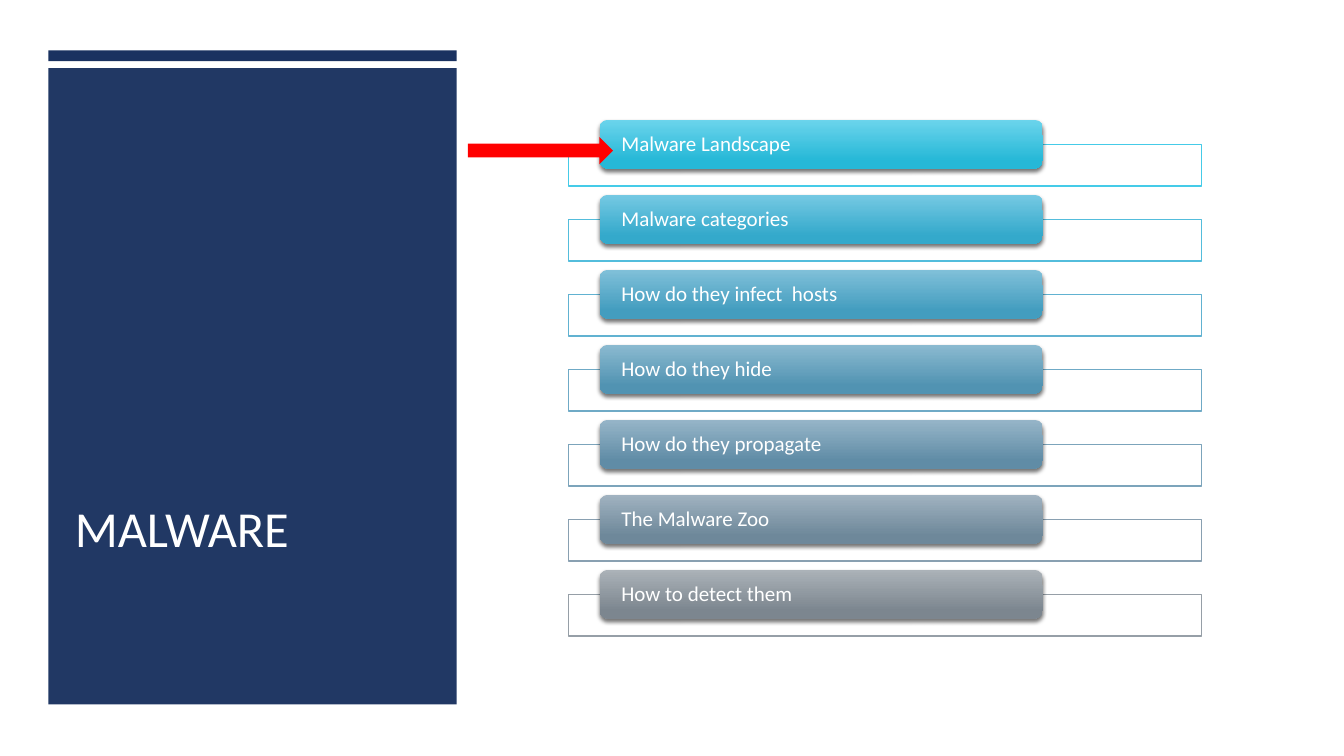
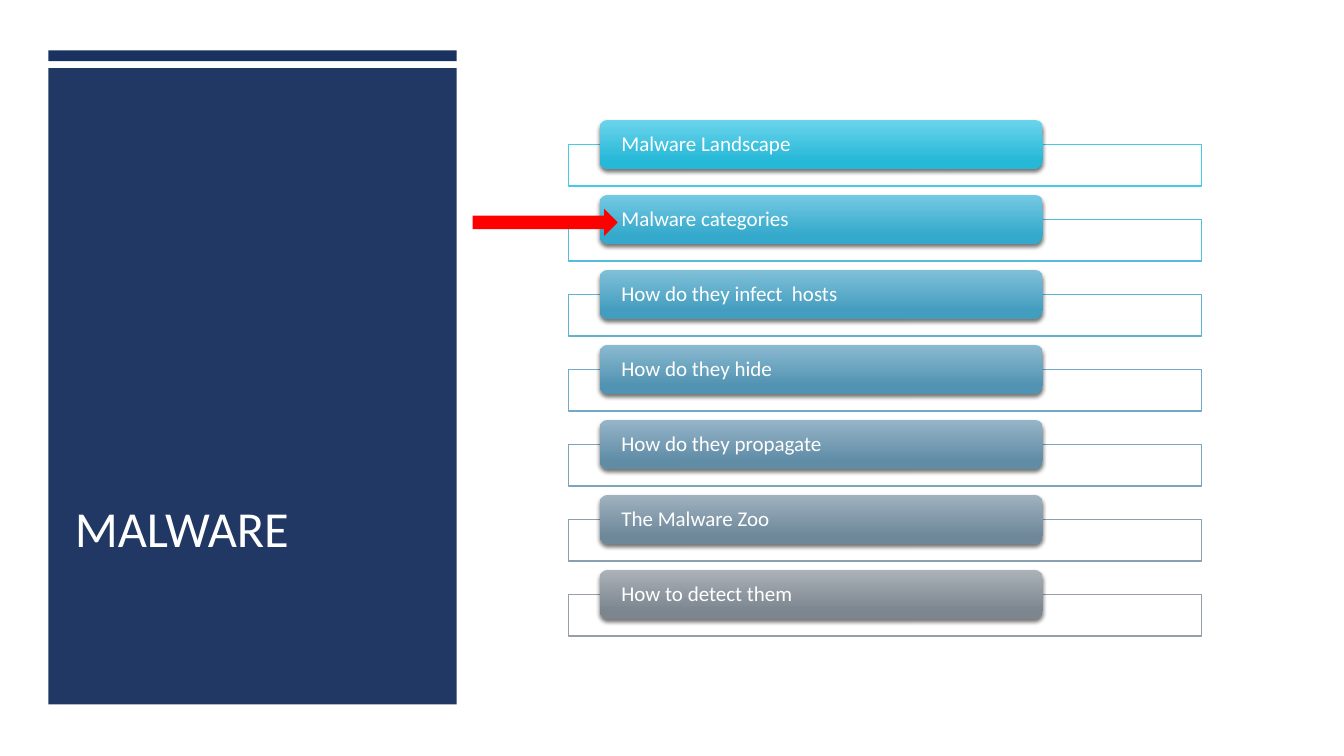
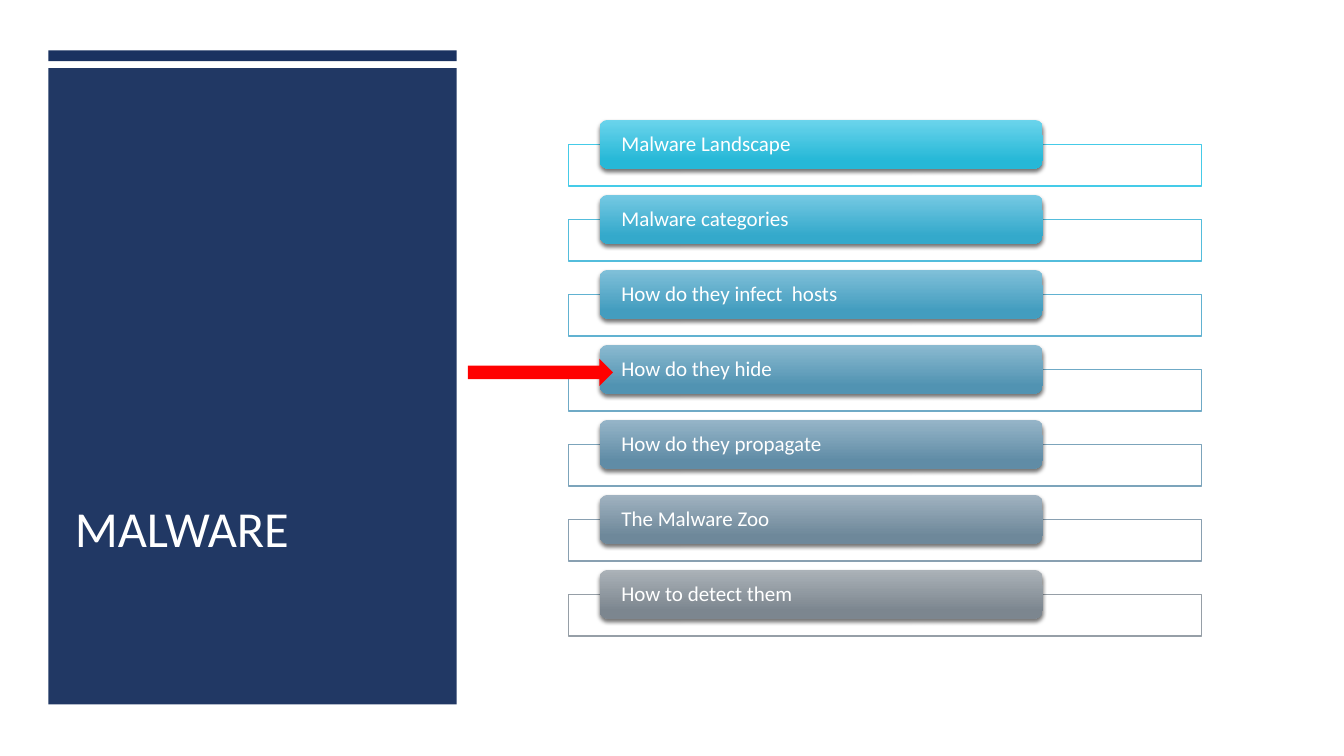
"""Build three agenda slides on malware, each with an arrow at one topic."""
import dataclasses

import lxml.etree
import pptx
import pptx.dml.color
import pptx.enum.shapes
import pptx.enum.text
import pptx.oxml.ns
import pptx.shapes.autoshape
import pptx.slide
import pptx.text.text
import pptx.util

COLORS = {"navy": "1A3260", "white": "FFFFFF", "arrow": "FF0000", "shadow": "000000"}
TITLE_FONT = {"name": "Calibri", "size": pptx.util.Pt(36)}
TOPIC_FONT = {"name": "Calibri", "size": pptx.util.Pt(15)}
SHAPES = pptx.enum.shapes.MSO_SHAPE
TOPIC_TOP, TOPIC_PITCH, BAR_HEIGHT = 3.02, 1.89, 1.23


@dataclasses.dataclass(frozen=True)
class Box:
    left: float
    top: float
    width: float
    height: float

    def lengths(self) -> list[pptx.util.Length]:
        return [pptx.util.Cm(v) for v in dataclasses.astuple(self)]


@dataclasses.dataclass(frozen=True)
class Topic:
    text: str
    outline: str
    light: str
    dark: str


PANEL = Box(1.22, 1.72, 10.29, 16.03)
BAND = Box(1.22, 1.27, 10.29, 0.27)
TITLE = Box(1.63, 5.94, 9.47, 8.26)
TOPICS = [
    Topic("Malware Landscape", "45CBE8", "6BD4EC", "26B8D7"),
    Topic("Malware categories", "53BDDC", "75C9E3", "34A9CB"),
    Topic("How do they infect  hosts", "61B2D1", "80C0D9", "439DBF"),
    Topic("How do they hide", "6FAAC6", "8BBAD0", "5193B2"),
    Topic("How do they propagate", "7CA4BB", "96B5C8", "608CA6"),
    Topic("The Malware Zoo", "89A0B1", "A0B2C0", "6E889A"),
    Topic("How to detect them", "969FA7", "ABB2B8", "7C868F"),
]
ARROWS = [
    Box(11.79, 3.45, 3.66, 0.69),
    Box(11.91, 5.26, 3.66, 0.69),
    Box(11.79, 9.04, 3.66, 0.69),
]


def rgb(color: str) -> pptx.dml.color.RGBColor:
    return pptx.dml.color.RGBColor.from_string(color)


def add_alpha(parent: lxml.etree._Element, percent: int) -> None:
    alpha = lxml.etree.SubElement(parent, pptx.oxml.ns.qn("a:alpha"))
    alpha.set("val", str(percent * 1000))


def add_box(s: pptx.slide.Slide, kind: SHAPES, box: Box, fill: str,
            opacity: int = 100) -> pptx.shapes.autoshape.Shape:
    sp = s.shapes.add_shape(kind, *box.lengths())
    sp.shadow.inherit = False
    sp.line.fill.background()
    sp.fill.solid()
    sp.fill.fore_color.rgb = rgb(fill)
    if opacity < 100:
        solid = sp.element.spPr.find(pptx.oxml.ns.qn("a:solidFill"))
        add_alpha(solid[0], opacity)
    return sp


def add_shadow(sp: pptx.shapes.autoshape.Shape) -> None:
    qn = pptx.oxml.ns.qn
    effects = sp.element.spPr.find(qn("a:effectLst"))
    outer = lxml.etree.SubElement(effects, qn("a:outerShdw"))
    values = {"blurRad": pptx.util.Pt(3), "dist": pptx.util.Pt(2),
              "dir": 90 * 60000, "algn": "ctr", "rotWithShape": 0}
    for name, value in values.items():
        outer.set(name, str(value))
    color = lxml.etree.SubElement(outer, qn("a:srgbClr"))
    color.set("val", COLORS["shadow"])
    add_alpha(color, 55)


def write(tf: pptx.text.text.TextFrame, text: str, font: dict,
          frame: dict) -> None:
    for name, value in frame.items():
        setattr(tf, name, value)
    p = tf.paragraphs[0]
    p.alignment = pptx.enum.text.PP_ALIGN.LEFT
    p.line_spacing = 0.9
    r = p.add_run()
    r.text = text
    for name, value in font.items():
        setattr(r.font, name, value)
    r.font.color.rgb = rgb(COLORS["white"])


def add_title(s: pptx.slide.Slide, text: str) -> None:
    add_box(s, SHAPES.RECTANGLE, PANEL, COLORS["navy"], 97)
    add_box(s, SHAPES.RECTANGLE, BAND, COLORS["navy"])
    title = s.shapes.title
    title.left, title.top, title.width, title.height = TITLE.lengths()
    write(title.text_frame, text, TITLE_FONT, {
        "word_wrap": True,
        "auto_size": pptx.enum.text.MSO_AUTO_SIZE.NONE,
        "vertical_anchor": pptx.enum.text.MSO_ANCHOR.BOTTOM,
    })
    title.element.getparent().append(title.element)


def add_topic(s: pptx.slide.Slide, topic: Topic, top: float) -> None:
    frame = add_box(s, SHAPES.RECTANGLE,
                    Box(14.33, top + BAR_HEIGHT / 2, 15.95, 1.05),
                    COLORS["white"], 90)
    frame.line.color.rgb = rgb(topic.outline)
    frame.line.width = pptx.util.Pt(1)
    bar = add_box(s, SHAPES.ROUNDED_RECTANGLE,
                  Box(15.11, top, 11.17, BAR_HEIGHT), topic.dark)
    bar.fill.gradient()
    bar.fill.gradient_angle = 270
    stops = [(0, topic.light), (0.84, topic.dark)]
    for stop, (position, color) in zip(bar.fill.gradient_stops, stops):
        stop.position = position
        stop.color.rgb = rgb(color)
    add_shadow(bar)
    write(bar.text_frame, topic.text, TOPIC_FONT, {
        "word_wrap": True,
        "vertical_anchor": pptx.enum.text.MSO_ANCHOR.MIDDLE,
        "margin_left": pptx.util.Cm(0.49),
        "margin_right": pptx.util.Cm(0.49),
        "margin_top": 0,
        "margin_bottom": 0,
    })


def main() -> None:
    prs = pptx.Presentation()
    prs.slide_width = pptx.util.Cm(33.87)
    prs.slide_height = pptx.util.Cm(19.05)
    for arrow in ARROWS:
        s = prs.slides.add_slide(prs.slide_layouts[5])
        add_title(s, "MALWARE")
        for i, topic in enumerate(TOPICS):
            add_topic(s, topic, TOPIC_TOP + i * TOPIC_PITCH)
        add_box(s, SHAPES.RIGHT_ARROW, arrow, COLORS["arrow"])
    prs.save("out.pptx")


if __name__ == "__main__":
    main()
